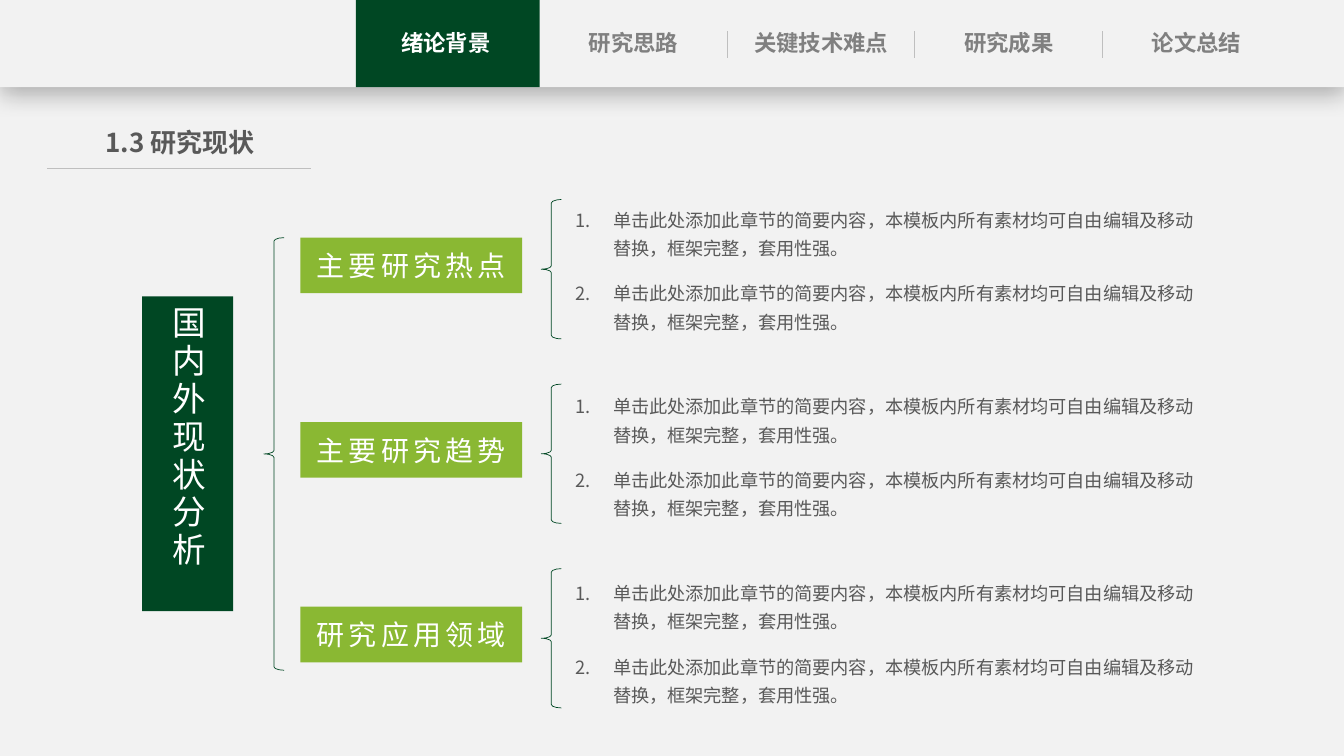
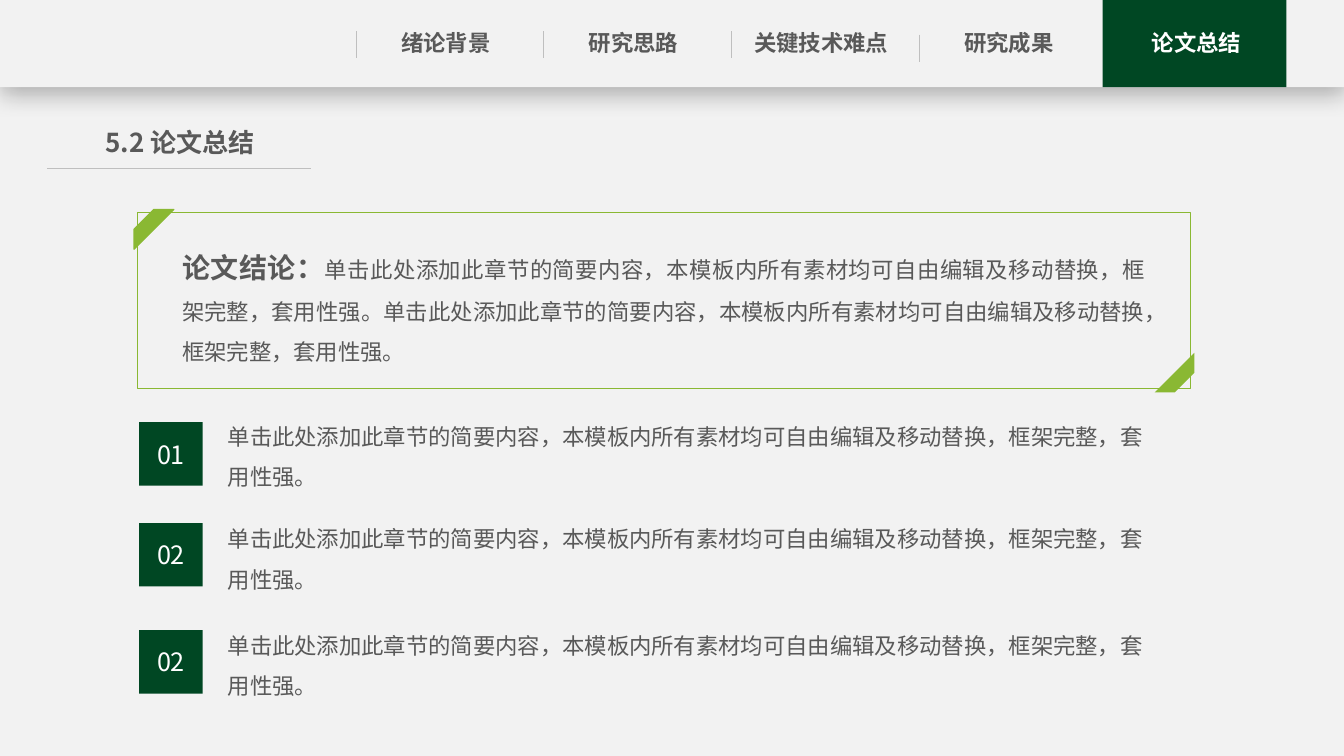
from dataclasses import dataclass
from typing import Optional

from lxml.etree import SubElement
from pptx import Presentation
from pptx.dml.color import RGBColor
from pptx.enum.shapes import MSO_CONNECTOR, MSO_SHAPE
from pptx.enum.text import MSO_ANCHOR, MSO_AUTO_SIZE, PP_ALIGN
from pptx.oxml.ns import qn
from pptx.util import Cm, Pt

FONT = "Noto Sans CJK SC"
HUES = {
    "back": "F2F2F2",
    "dark": "004723",
    "lime": "8AB833",
    "text": "595959",
    "dim": "808080",
    "rule": "BFBFBF",
    "white": "FFFFFF",
    "black": "000000",
}
WIDE, HIGH = 33.87, 19.05
BAND = 2.2
STEP = 4.73
TABS = ("绪论背景", "研究思路", "关键技术难点", "研究成果", "论文总结")
BODY = "单击此处添加此章节的简要内容，本模板内所有素材均可自由编辑及移动替换，框架完整，套用性强。"


@dataclass(frozen=True)
class Box:
    """A place on the slide, in centimetres."""
    x: float
    y: float
    w: float
    h: float


@dataclass(frozen=True)
class Type:
    size: float
    hue: str = "text"
    bold: bool = False
    space: int = 0


@dataclass(frozen=True)
class Mark:
    """A thin line to the left of a tab."""
    tab: int
    top: float = 0.79


@dataclass(frozen=True)
class Head:
    title: str
    live: int
    left: float
    edge: float
    marks: tuple[Mark, ...]
    hue: str


@dataclass(frozen=True)
class Point:
    num: str
    top: float
    text_top: float


HEADS = (
    Head("1.3 研究现状", 0, 8.97, 8.86, (Mark(2), Mark(3), Mark(4)), "dim"),
    Head("5.2 论文总结", 4, 27.79, 8.97,
         (Mark(0), Mark(1), Mark(2), Mark(3, 0.87)), "text"),
)
THEMES = ("主要研究热点", "主要研究趋势", "研究应用领域")
POINTS = (
    Point("01", 10.64, 10.19),
    Point("02", 13.18, 12.78),
    Point("02", 15.88, 15.47),
)


def tint(name: str) -> RGBColor:
    return RGBColor.from_string(HUES[name])


def add_run(para, text: str, kind: Type) -> None:
    run = para.add_run()
    run.text = text
    font = run.font
    font.size = Pt(kind.size)
    font.bold = kind.bold
    font.color.rgb = tint(kind.hue)
    font.name = FONT
    props = run._r.get_or_add_rPr()
    SubElement(props, qn("a:ea")).set("typeface", FONT)
    if kind.space:
        props.set("spc", str(kind.space * 100))


def add_form(slide, form: MSO_SHAPE, box: Box, fill: Optional[str] = None,
             line: Optional[str] = None, width: float = 0.5):
    shape = slide.shapes.add_shape(
        form, Cm(box.x), Cm(box.y), Cm(box.w), Cm(box.h))
    shape.shadow.inherit = False
    if fill:
        shape.fill.solid()
        shape.fill.fore_color.rgb = tint(fill)
    else:
        shape.fill.background()
    if line:
        shape.line.color.rgb = tint(line)
        shape.line.width = Pt(width)
    else:
        shape.line.fill.background()
    return shape


def add_line(slide, x: float, y: float, to_x: float, to_y: float) -> None:
    line = slide.shapes.add_connector(
        MSO_CONNECTOR.STRAIGHT, Cm(x), Cm(y), Cm(to_x), Cm(to_y))
    line.line.color.rgb = tint("rule")
    line.line.width = Pt(0.5)
    SubElement(line._element.spPr, qn("a:effectLst"))


def add_text(slide, box: Box, side: float = 0.25):
    """Add an empty text box and return its frame."""
    shape = slide.shapes.add_textbox(
        Cm(box.x), Cm(box.y), Cm(box.w), Cm(box.h))
    frame = shape.text_frame
    frame.word_wrap = True
    frame.auto_size = MSO_AUTO_SIZE.SHAPE_TO_FIT_TEXT
    frame.margin_left = frame.margin_right = Cm(side)
    return frame


def add_label(slide, box: Box, text: str, kind: Type) -> None:
    """Add one centred line of text with no side margins."""
    para = add_text(slide, box, 0).paragraphs[0]
    para.alignment = PP_ALIGN.CENTER
    add_run(para, text, kind)


def add_block(slide, box: Box, fill: str, text: str, kind: Type):
    """Add a filled box with centred text and return its frame."""
    frame = add_form(slide, MSO_SHAPE.RECTANGLE, box, fill).text_frame
    frame.vertical_anchor = MSO_ANCHOR.MIDDLE
    para = frame.paragraphs[0]
    para.alignment = PP_ALIGN.CENTER
    add_run(para, text, kind)
    return frame


def add_brace(slide, box: Box) -> None:
    brace = add_form(slide, MSO_SHAPE.LEFT_BRACE, box, line="dark")
    brace.adjustments[0] = 0.17
    brace.adjustments[1] = 0.5


def add_list(slide, box: Box, items: tuple[str, ...]) -> None:
    frame = add_text(slide, box)
    for i, item in enumerate(items):
        para = frame.add_paragraph() if i else frame.paragraphs[0]
        props = para._p.get_or_add_pPr()
        props.set("marL", str(Cm(0.95)))
        props.set("indent", str(-Cm(0.95)))
        SubElement(props, qn("a:buFont")).set("typeface", FONT)
        SubElement(props, qn("a:buAutoNum")).set("type", "arabicPeriod")
        para.line_spacing = 1.3
        if i:
            para.space_before = Pt(6)
        para.space_after = Pt(6)
        add_run(para, item, Type(13))


def add_shade(shape) -> None:
    """Cast a soft shadow below the shape."""
    effects = shape._element.spPr.find(qn("a:effectLst"))
    shade = SubElement(effects, qn("a:outerShdw"), blurRad=str(Pt(18)),
                       dist=str(Pt(4)), dir="5400000", algn="t",
                       rotWithShape="0")
    color = SubElement(shade, qn("a:srgbClr"), val=HUES["black"])
    SubElement(color, qn("a:alpha"), val="29000")


def add_page(deck, head: Head):
    """Add a slide with its tab band and title."""
    slide = deck.slides.add_slide(deck.slide_layouts[6])
    add_shade(add_form(slide, MSO_SHAPE.RECTANGLE,
                       Box(0, 0, WIDE, BAND), "back"))
    add_form(slide, MSO_SHAPE.RECTANGLE,
             Box(head.left, 0, 4.63, BAND), "dark")
    for mark in head.marks:
        x = head.edge + STEP * mark.tab
        add_line(slide, x, mark.top, x, mark.top + 0.68)
    for i, name in enumerate(TABS):
        hue = "white" if i == head.live else head.hue
        add_label(slide, Box(9.37 + STEP * i, 0.61, 3.73, 0.97),
                  name, Type(16, hue, True))
    add_line(slide, 1.19, 4.24, 7.85, 4.24)
    add_label(slide, Box(1.9, 3.07, 5.27, 1.07),
              head.title, Type(18.6, bold=True))
    return slide


def draw_status(deck) -> None:
    slide = add_page(deck, HEADS[0])
    frame = add_block(slide, Box(3.58, 7.47, 2.3, 7.93), "dark",
                      "国内外现状分析", Type(24, "white", space=3))
    frame._txBody.bodyPr.set("vert", "eaVert")
    add_brace(slide, Box(6.65, 5.99, 0.51, 10.9))
    for i, theme in enumerate(THEMES):
        drop = 4.65 * i
        add_block(slide, Box(7.57, 5.99 + drop, 5.59, 1.4), "lime",
                  theme, Type(20, "white", space=3))
        add_brace(slide, Box(13.64, 5.03 + drop, 0.51, 3.51))
        add_list(slide, Box(14.25, 4.98 + 4.7 * i, 16.1, 3.56), (BODY, BODY))


def draw_close(deck) -> None:
    slide = add_page(deck, HEADS[1])
    add_form(slide, MSO_SHAPE.RECTANGLE,
             Box(3.45, 5.35, 26.55, 4.43), line="lime")
    add_form(slide, MSO_SHAPE.DIAGONAL_STRIPE,
             Box(3.38, 5.28, 1, 1), "lime", "lime", 1)
    stripe = add_form(slide, MSO_SHAPE.DIAGONAL_STRIPE,
                      Box(29.1, 8.89, 1, 1), "lime")
    stripe.rotation = 180

    para = add_text(slide, Box(4.34, 5.77, 24.79, 3.58)).paragraphs[0]
    para.alignment = PP_ALIGN.JUSTIFY
    para.line_spacing = 1.5
    add_run(para, "论文结论：", Type(20, bold=True))
    add_run(para, BODY * 2, Type(16))

    for point in POINTS:
        frame = add_block(slide, Box(3.51, point.top, 1.6, 1.6), "dark",
                          point.num, Type(18, "white"))
        frame.margin_left = frame.margin_right = 0
        frame.margin_top = frame.margin_bottom = 0
        para = add_text(
            slide, Box(5.49, point.text_top, 24.05, 2.31)).paragraphs[0]
        para.line_spacing = 1.5
        add_run(para, BODY, Type(16))


def main() -> None:
    deck = Presentation()
    deck.slide_width, deck.slide_height = Cm(WIDE), Cm(HIGH)
    fill = deck.slide_master.background.fill
    fill.solid()
    fill.fore_color.rgb = tint("back")
    draw_status(deck)
    draw_close(deck)
    deck.save("out.pptx")


if __name__ == "__main__":
    main()
